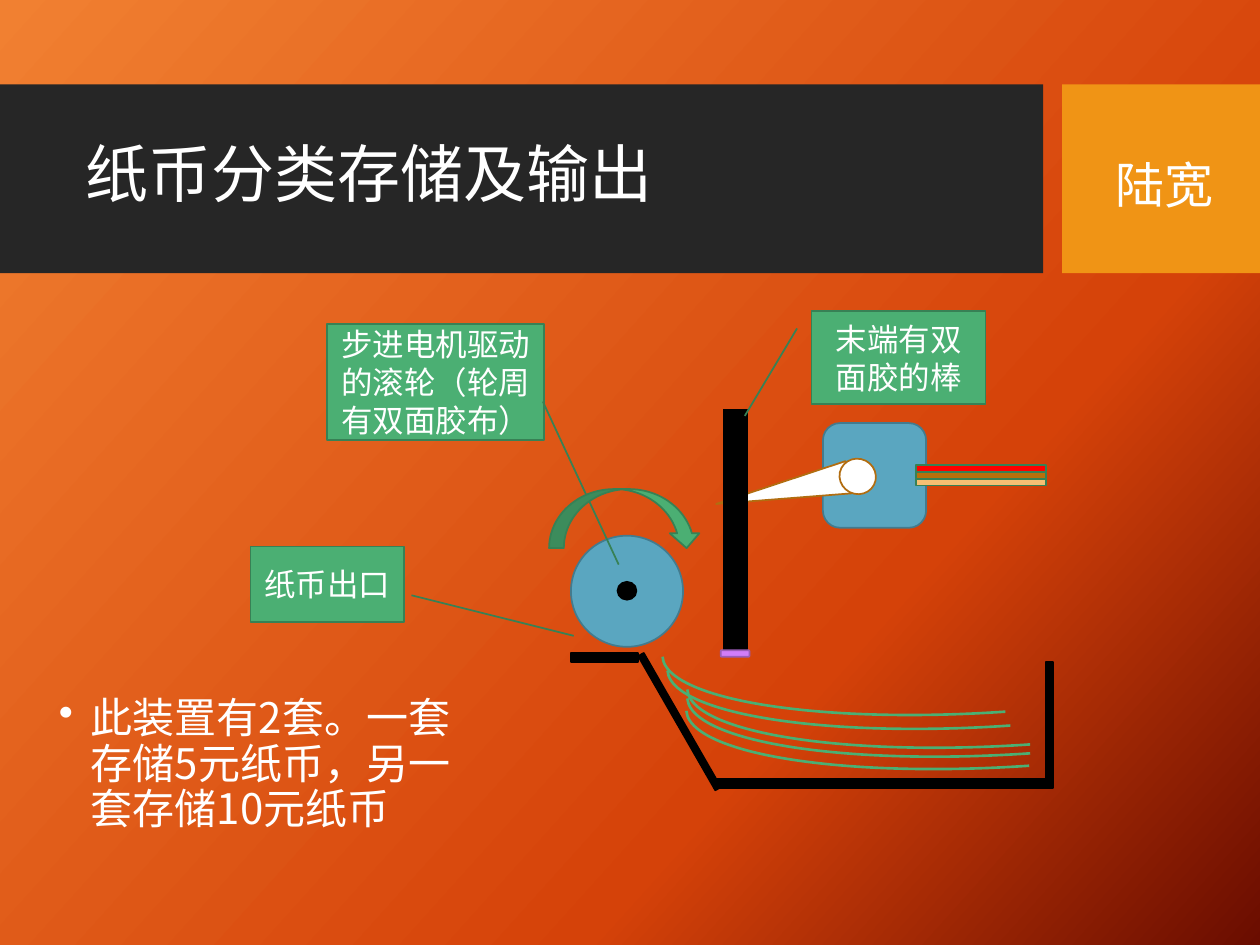
"""Builds the slide on sorting, storing and dispensing banknotes."""
from copy import deepcopy
from lxml import etree
from pptx import Presentation
from pptx.dml.color import RGBColor
from pptx.enum.shapes import MSO_SHAPE as S
from pptx.enum.text import MSO_ANCHOR, PP_ALIGN
from pptx.oxml.ns import qn
from pptx.util import Cm, Pt

FONT = "Noto Sans CJK SC"
HUES = {
    "dark": "262626", "gold": "F09415", "white": "FFFFFF", "black": "000000",
    "green": "4BAF73", "pine": "378155", "blue": "5AA6C0", "steel": "437B8E",
    "rust": "B26D10", "red": "FF0000", "brown": "B8700C", "sand": "F6BF73",
    "pink": "D17DF9", "plum": "9B5CB8",
    "glow": "F18031", "flame": "D54209", "ember": "6A0D00",
}
BACK = [("glow", 0), ("flame", 0.68), ("ember", 1)]
BANDS = [
    (S.RECTANGLE, (0, 1.7, 21.03, 3.81), 0, "dark", None),
    (S.RECTANGLE, (21.41, 1.7, 3.99, 3.81), 0, "gold", None),
]
TRAY = [
    (S.RECTANGLE, (12.14, 14.48, 3.12, 0.13), 240.1, "black", "black"),
    (S.RECTANGLE, (14.4, 15.7, 6.83, 0.18), 0, "black", "black"),
    (S.RECTANGLE, (21.08, 13.34, 0.15, 2.49), 0, "black", "black"),
]
NOTES = [(13.82, 12.29), (13.84, 12.04), (13.84, 11.86), (13.44, 11.48), (13.34, 11.2)]
MOTOR = [
    (S.ROUNDED_RECTANGLE, (16.59, 8.53, 2.08, 2.11), 0, "blue", "steel"),
    (S.ISOSCELES_TRIANGLE, (15.44, 8.53, 0.66, 2.72), 258.6, "white", "rust"),
    (S.OVAL, (16.92, 9.25, 0.74, 0.71), 26.8, "white", "rust"),
]
WIRES = ["red", "brown", "sand"]
STICK = (S.RECTANGLE, (14.58, 8.26, 0.48, 4.83), 0, "black", "black")
WHEEL = [
    (S.RECTANGLE, (11.51, 13.16, 1.35, 0.18), 0, "black", "black"),
    (S.OVAL, (11.51, 10.8, 2.26, 2.24), 0, "blue", "steel"),
]
LABELS = {
    "stick": ("末端有双面胶的棒", (16.36, 6.27, 3.51, 1.88), ()),
    "wheel": ("步进电机驱动的滚轮（轮周有双面胶布）", (6.6, 6.53, 4.37, 2.34),
              (2.074, 1.344, 0.669, 0.994)),
    "exit": ("纸币出口", (5.05, 11.02, 3.1, 1.52), (0.646, 1.047, 1.183, 2.102)),
}
AXLE = [
    (S.OVAL, (12.45, 11.73, 0.38, 0.36), 0, "black", "black"),
    (S.CURVED_DOWN_ARROW, (11.07, 9.86, 3.07, 1.19), 0, "green", "pine"),
]
PAD = (S.ROUNDED_RECTANGLE, (14.53, 13.11, 0.58, 0.13), 0, "pink", "plum")
TITLE = ("纸币分类存储及输出", (1.47, 2.08, 19.15, 3), 36)
NAME = ("陆宽", (22.23, 2.29, 2.82, 3), 28)
BODY = ("此装置有2套。一套存储5元纸币，另一套存储10元纸币", (0.94, 13.94, 8.84, 3.35), 24)


def hue(key):
    return RGBColor.from_string(HUES[key])


def paint(slide):
    fill = slide.background.fill
    fill.gradient()
    fill.gradient_angle = 318
    stops = next(slide._element.iter(qn("a:gsLst")))
    stops.append(deepcopy(stops[-1]))
    for stop, (key, pos) in zip(fill.gradient_stops, BACK):
        stop.color.rgb = hue(key)
        stop.position = pos


def draw(slide, kind, box, turn, fill, line, wide=1):
    shape = slide.shapes.add_shape(kind, *map(Cm, box))
    shape.shadow.inherit = False
    shape.rotation = turn
    if fill:
        shape.fill.solid()
        shape.fill.fore_color.rgb = hue(fill)
    else:
        shape.fill.background()
    if line:
        shape.line.color.rgb = hue(line)
        shape.line.width = Pt(wide)
    else:
        shape.line.fill.background()
    return shape


def write(shape, words, size, anchor=MSO_ANCHOR.MIDDLE):
    frame = shape.text_frame
    frame.word_wrap = True
    frame.vertical_anchor = anchor
    para = frame.paragraphs[0]
    para.text = words
    font = para.font
    font.size = Pt(size)
    font.color.rgb = hue("white")
    font.name = FONT
    etree.SubElement(font._rPr, qn("a:ea"), typeface=FONT)
    return para


def label(slide, key):
    words, box, bends = LABELS[key]
    shape = draw(slide, S.LINE_CALLOUT_1, box, 0, "green", "pine")
    for i, bend in enumerate(bends):
        shape.adjustments[i] = bend
    write(shape, words, 18).alignment = PP_ALIGN.CENTER


def prose(slide, words, box, size, anchor=MSO_ANCHOR.MIDDLE):
    para = write(slide.shapes.add_textbox(*map(Cm, box)), words, size, anchor)
    para.line_spacing = 0.9
    return para


def bullet(para):
    para.space_before = Pt(10)
    props = para._p.get_or_add_pPr()
    props.set("marL", str(Cm(0.64)))
    props.set("indent", str(Cm(-0.64)))
    mark = etree.Element(qn("a:buChar"), char="•")
    props.find(qn("a:defRPr")).addprevious(mark)


deck = Presentation()
deck.slide_width, deck.slide_height = Cm(25.4), Cm(19.05)
slide = deck.slides.add_slide(deck.slide_layouts[6])
paint(slide)
for part in BANDS:
    draw(slide, *part)
prose(slide, *TITLE)
prose(slide, *NAME)
for part in TRAY:
    draw(slide, *part)
for x, y in NOTES:
    draw(slide, S.ARC, (x, y, 13.64, 3.15), 176.1, None, "green", 1.5)
for part in MOTOR:
    draw(slide, *part)
for i, key in enumerate(WIRES):
    draw(slide, S.RECTANGLE, (18.47, 9.37 + 0.14 * i, 2.62, 0.14), 0, key, "pine")
draw(slide, *STICK, wide=0.75)
label(slide, "stick")
for part in WHEEL:
    draw(slide, *part)
label(slide, "wheel")
for part in AXLE:
    draw(slide, *part)
bullet(prose(slide, *BODY, anchor=MSO_ANCHOR.TOP))
label(slide, "exit")
draw(slide, *PAD)
deck.save("out.pptx")
